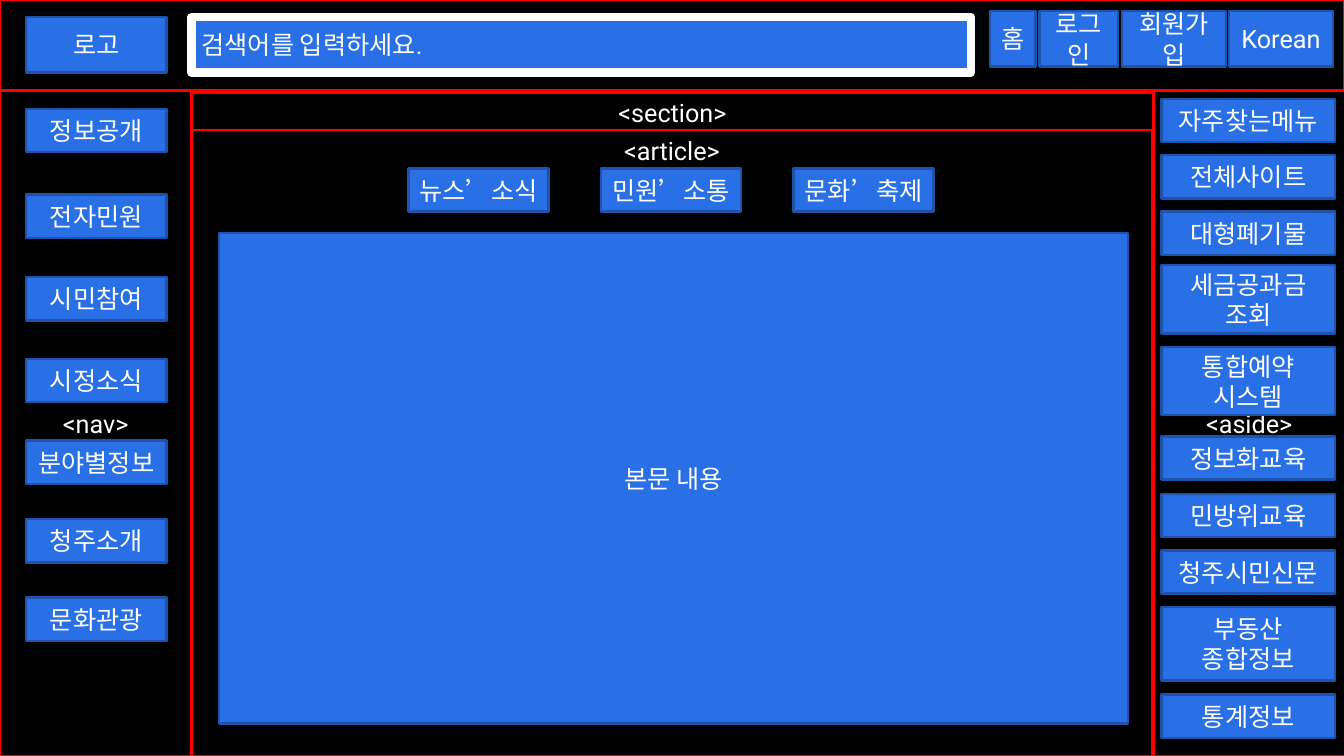
import pptx
import pptx.util
import pptx.dml.color
import pptx.enum.shapes
import pptx.enum.text

Inches = pptx.util.Inches
Pt = pptx.util.Pt
Color = pptx.dml.color.RGBColor
Align = pptx.enum.text.PP_ALIGN
Anchor = pptx.enum.text.MSO_ANCHOR

BLACK = Color(0x00, 0x00, 0x00)
WHITE = Color(0xFF, 0xFF, 0xFF)
RED = Color(0xFF, 0x00, 0x00)
BLUE = Color(0x29, 0x70, 0xE7)
NAVY = Color(0x1E, 0x53, 0xAB)

deck = pptx.Presentation()
deck.slide_width = Inches(13.33)
deck.slide_height = Inches(7.5)
slide = deck.slides.add_slide(deck.slide_layouts[6])


def add_box(text, left, top, width, height, fill=BLUE, line=NAVY,
            weight=1.75, align=Align.CENTER, anchor=Anchor.MIDDLE):
    box = slide.shapes.add_shape(
        pptx.enum.shapes.MSO_SHAPE.RECTANGLE,
        Inches(left), Inches(top), Inches(width), Inches(height))
    box.shadow.inherit = False
    box.fill.solid()
    box.fill.fore_color.rgb = fill
    box.line.color.rgb = line
    box.line.width = Pt(weight)
    if not text:
        return
    frame = box.text_frame
    frame.word_wrap = True
    frame.vertical_anchor = anchor
    frame.text = text
    for para in frame.paragraphs:
        para.alignment = align
        para.font.name = "Roboto"
        para.font.size = Pt(18)
        para.font.color.rgb = WHITE


def add_panel(text, left, top, width, height, anchor=Anchor.MIDDLE):
    add_box(text, left, top, width, height, BLACK, RED, anchor=anchor)


add_panel("", 0, 0, 13.33, 0.9)
for text, left, width in [("홈", 9.82, 0.45), ("로그인", 10.31, 0.78),
                          ("회원가입", 11.13, 1.03), ("Korean", 12.19, 1.03)]:
    add_box(text, left, 0.11, width, 0.55)
add_box("로고", 0.26, 0.17, 1.39, 0.55)

add_panel("<nav>", 0, 0.9, 1.9, 6.6)
for text, top in [("정보공개", 1.08), ("전자민원", 1.93), ("시민참여", 2.75),
                  ("시정소식", 3.56), ("분야별정보", 4.37),
                  ("청주소개", 5.15), ("문화관광", 5.93)]:
    add_box(text, 0.26, top, 1.39, 0.43)

add_panel("<aside>", 11.44, 0.9, 1.9, 6.6)
for text, top, height in [("자주찾는메뉴", 0.98, 0.43),
                          ("전체사이트", 1.54, 0.43),
                          ("대형폐기물", 2.1, 0.43),
                          ("세금공과금\n조회", 2.63, 0.68),
                          ("통합예약\n시스템", 3.44, 0.68),
                          ("정보화교육", 4.33, 0.43),
                          ("민방위교육", 4.9, 0.43),
                          ("청주시민신문", 5.46, 0.43),
                          ("부동산\n종합정보", 6.02, 0.73),
                          ("통계정보", 6.89, 0.43)]:
    add_box(text, 11.52, top, 1.72, height)

add_panel("<section>", 1.9, 0.92, 9.54, 6.58, Anchor.TOP)
add_box("검색어를 입력하세요.", 1.9, 0.17, 7.73, 0.55,
        line=WHITE, weight=6, align=Align.LEFT)

add_panel("<article>", 1.9, 1.29, 9.53, 6.21, Anchor.TOP)
for col, text in enumerate(["뉴스’소식", "민원’소통", "문화’축제"]):
    add_box(text, 4.05 + col * 1.91, 1.67, 1.39, 0.43)
add_box("본문 내용", 2.17, 2.31, 9.02, 4.87)

deck.save("out.pptx")
